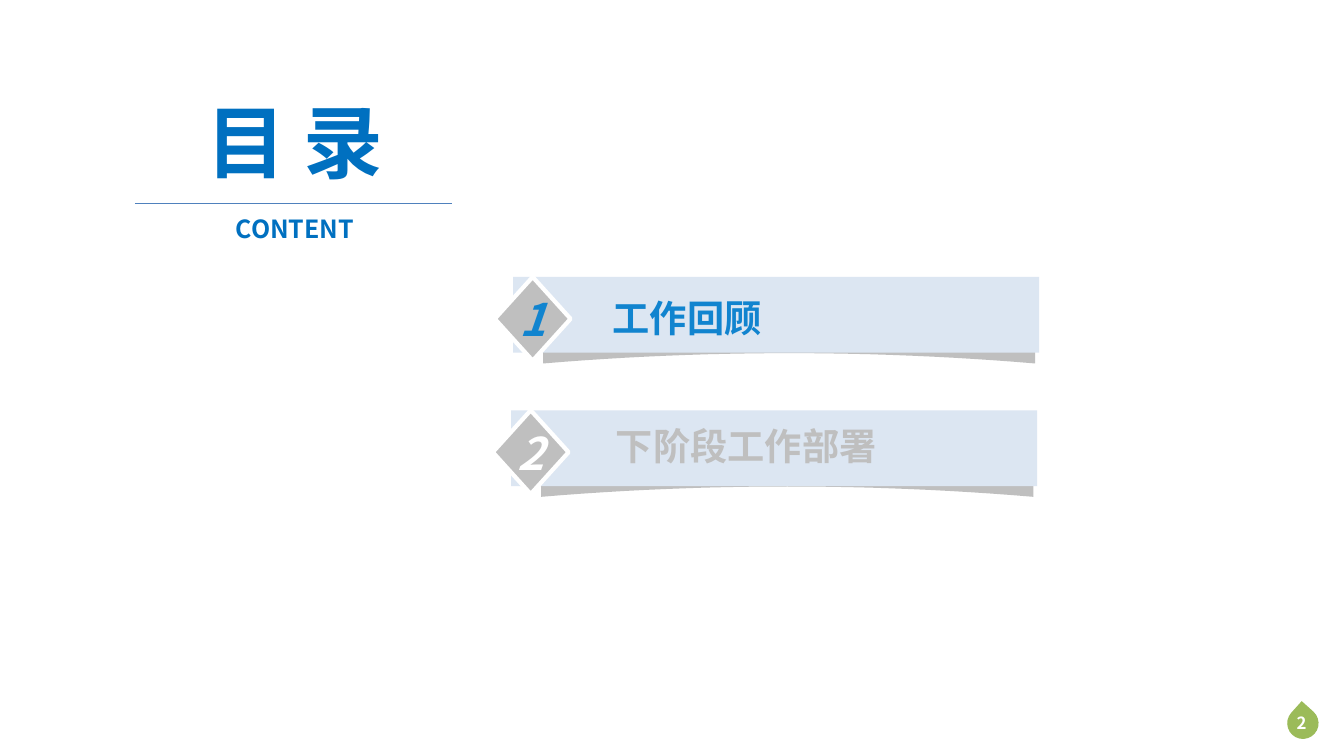
"""Build the contents slide with two numbered agenda entries."""
from dataclasses import dataclass

from lxml import etree
from pptx import Presentation
from pptx.dml.color import RGBColor
from pptx.enum.shapes import MSO_CONNECTOR, MSO_SHAPE
from pptx.enum.text import MSO_ANCHOR, MSO_AUTO_SIZE, PP_ALIGN
from pptx.oxml.ns import qn
from pptx.shapes.autoshape import Shape
from pptx.slide import Slide
from pptx.util import Cm, Pt

RECTANGLE, DIAMOND, TEARDROP = MSO_SHAPE.RECTANGLE, MSO_SHAPE.DIAMOND, MSO_SHAPE.TEAR
STRAIGHT = MSO_CONNECTOR.STRAIGHT
LEFT, CENTER = PP_ALIGN.LEFT, PP_ALIGN.CENTER
TOP, MIDDLE = MSO_ANCHOR.TOP, MSO_ANCHOR.MIDDLE
NO_AUTOSIZE = MSO_AUTO_SIZE.NONE


@dataclass(frozen=True)
class Theme:
    """Colours, font and type sizes of the slide."""
    font: str = "Noto Sans CJK SC"
    heading: str = "0070C0"
    active: str = "1184CF"
    muted: str = "BFBFBF"
    bar: str = "DCE6F2"
    rule: str = "4F81BD"
    page_badge: str = "9BBB59"
    white: str = "FFFFFF"
    title_size: float = 56.9
    subtitle_size: float = 17.8
    entry_size: float = 26.6
    number_size: float = 32
    page_size: float = 12


@dataclass(frozen=True)
class Box:
    """Position and size in centimetres."""
    left: float
    top: float
    width: float
    height: float


@dataclass(frozen=True)
class Entry:
    """One agenda entry, placed by the corners of its bar and its label."""
    number: str
    label: str
    left: float
    top: float
    label_left: float
    label_top: float
    number_color: str
    label_color: str


THEME = Theme()
TITLE_BOX = Box(3.48, 2.21, 7.9, 4.32)
SUBTITLE_BOX = Box(3.48, 5.26, 7.9, 1.73)
BADGE_BOX = Box(32.44, 17.83, 0.79, 0.79)
PAGE_BOX = Box(32.23, 17.81, 1.14, 1.17)
BAR_WIDTH, BAR_HEIGHT = 13.26, 1.91
ENTRIES = (
    Entry("1", "工作回顾", 12.93, 6.98, 15.19, 7.32, THEME.active, THEME.active),
    Entry("2", "下阶段工作部署", 12.88, 10.34, 15.27, 10.54, THEME.white, THEME.muted),
)


def place(shape: Shape, box: Box) -> None:
    """Move and size a shape."""
    shape.left, shape.top = Cm(box.left), Cm(box.top)
    shape.width, shape.height = Cm(box.width), Cm(box.height)


def write_text(shape: Shape, text: str, *, size: float, color: str,
               align: PP_ALIGN = CENTER, anchor: MSO_ANCHOR = TOP,
               italic: bool = False, wrap: bool = True) -> None:
    """Put one formatted bold paragraph into a shape."""
    frame = shape.text_frame
    frame.word_wrap = wrap
    frame.auto_size = NO_AUTOSIZE
    frame.vertical_anchor = anchor
    paragraph = frame.paragraphs[0]
    paragraph.alignment = align
    run = paragraph.add_run()
    run.text = text
    font = run.font
    font.name, font.size = THEME.font, Pt(size)
    font.bold, font.italic = True, italic
    font.color.rgb = RGBColor.from_string(color)
    east_asian = etree.SubElement(run._r.get_or_add_rPr(), qn("a:ea"))
    east_asian.set("typeface", THEME.font)


def add_text_box(slide: Slide, box: Box) -> Shape:
    """Add an empty text box."""
    return slide.shapes.add_textbox(Cm(box.left), Cm(box.top), Cm(box.width), Cm(box.height))


def fill_shape(shape: Shape, color: str) -> None:
    """Give a shape a plain fill without line or shadow."""
    shape.shadow.inherit = False
    shape.fill.solid()
    shape.fill.fore_color.rgb = RGBColor.from_string(color)
    shape.line.fill.background()


def add_filled_shape(slide: Slide, kind: MSO_SHAPE, box: Box, color: str) -> Shape:
    """Add a preset shape with a plain fill."""
    shape = slide.shapes.add_shape(kind, Cm(box.left), Cm(box.top), Cm(box.width), Cm(box.height))
    fill_shape(shape, color)
    return shape


def add_curved_shadow(slide: Slide, box: Box) -> None:
    """Draw the band under a bar, with a hollow curved lower edge."""
    rise, shoulder, steps = 0.26, 0.23, 24
    bottom = box.top + box.height
    curve = []
    for step in range(steps + 1):
        share = step / steps
        height = rise * (1 - (1 - 2 * share) ** 2)
        curve.append((Cm(box.left + box.width * (1 - share)), Cm(bottom - height)))
    upper_edge = [
        (Cm(box.left), Cm(box.top + shoulder)),
        (Cm(box.left + box.width / 2), Cm(box.top)),
        (Cm(box.left + box.width), Cm(box.top + shoulder)),
    ]
    builder = slide.shapes.build_freeform(*curve[0])
    builder.add_line_segments(curve[1:] + upper_edge, close=True)
    fill_shape(builder.convert_to_shape(), THEME.muted)


def add_entry(slide: Slide, entry: Entry) -> None:
    """Draw an agenda entry: shadow, bar, label and numbered diamond."""
    add_curved_shadow(slide, Box(entry.left + 0.76, entry.top + 1.25, 12.4, 0.93))
    bar_box = Box(entry.left, entry.top, BAR_WIDTH, BAR_HEIGHT)
    add_filled_shape(slide, RECTANGLE, bar_box, THEME.bar)
    label = add_text_box(slide, Box(entry.label_left, entry.label_top, 11.25, 1.4))
    write_text(label, entry.label, size=THEME.entry_size, color=entry.label_color, align=LEFT)
    diamond_box = Box(entry.left - 0.46, entry.top, 1.91, 2.11)
    diamond = add_filled_shape(slide, DIAMOND, diamond_box, THEME.muted)
    diamond.line.color.rgb = RGBColor.from_string(THEME.white)
    diamond.line.width = Pt(3)
    write_text(diamond, entry.number, size=THEME.number_size, color=entry.number_color,
               anchor=MIDDLE, italic=True, wrap=False)


def add_heading(slide: Slide) -> None:
    """Format the title and add the rule and subtitle below it."""
    title = slide.shapes.title
    place(title, TITLE_BOX)
    write_text(title, "目 录", size=THEME.title_size, color=THEME.heading)
    subtitle = add_text_box(slide, SUBTITLE_BOX)
    write_text(subtitle, "CONTENT", size=THEME.subtitle_size, color=THEME.heading)
    rule = slide.shapes.add_connector(STRAIGHT, Cm(3.4), Cm(5.13), Cm(11.38), Cm(5.13))
    rule.line.color.rgb = RGBColor.from_string(THEME.rule)
    rule.line.width = Pt(0.75)
    etree.SubElement(rule._element.spPr, qn("a:effectLst"))


def add_page_number(slide: Slide) -> None:
    """Add the page number on its drop-shaped badge."""
    badge = add_filled_shape(slide, TEARDROP, BADGE_BOX, THEME.page_badge)
    badge.rotation = 311.9
    number = add_text_box(slide, PAGE_BOX)
    write_text(number, "2", size=THEME.page_size, color=THEME.white)
    frame = number.text_frame
    frame.margin_left = frame.margin_right = Cm(0.28)
    frame.margin_top = frame.margin_bottom = Cm(0.15)


def main() -> None:
    """Create and save the presentation."""
    presentation = Presentation()
    presentation.slide_width, presentation.slide_height = Cm(33.87), Cm(19.05)
    slide = presentation.slides.add_slide(presentation.slide_layouts.get_by_name("Title Only"))
    add_page_number(slide)
    add_heading(slide)
    for entry in ENTRIES:
        add_entry(slide, entry)
    presentation.save("out.pptx")


if __name__ == "__main__":
    main()
